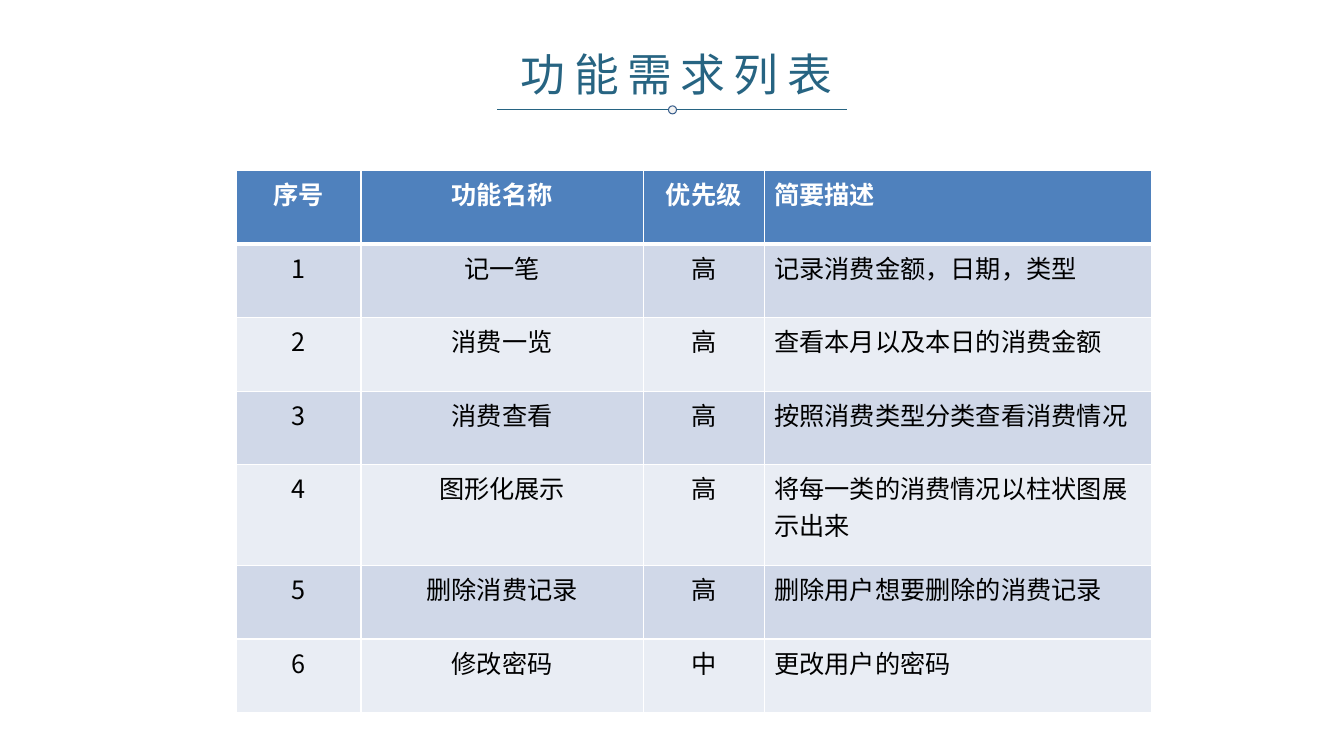
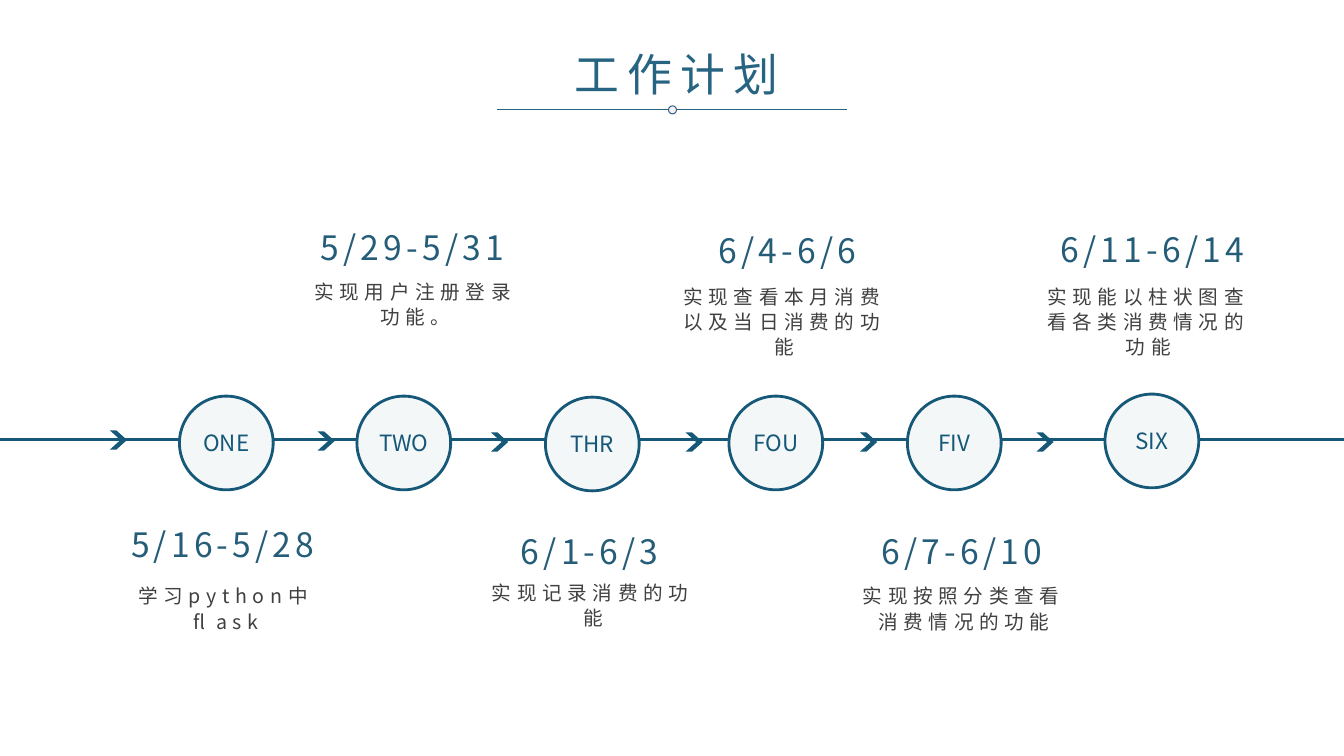
from collections import namedtuple

from lxml.etree import SubElement
from pptx import Presentation
from pptx.dml.color import RGBColor
from pptx.enum.shapes import MSO_CONNECTOR as Connector, MSO_SHAPE as Preset
from pptx.enum.text import MSO_ANCHOR as Anchor, MSO_AUTO_SIZE as AutoSize, PP_ALIGN as Align
from pptx.oxml.ns import qn
from pptx.util import Emu, Pt

EMU_PER_PX = 9144
WIDTH, HEIGHT = 1333, 750
FONT = "Noto Sans CJK SC"
COLORS = {
    "title": "276482", "knob": "F2F2F2", "knob_line": "3A5F8C",
    "timeline": "165878", "circle": "F3F7F8", "date": "255D79", "task": "404040",
    "header": "4F81BD", "band_dark": "D0D8E8", "band_light": "E9EDF4",
    "white": "FFFFFF", "black": "000000",
}

TextStyle = namedtuple("TextStyle", "size color spacing leading bold", defaults=(0, None, False))
STYLES = {
    "title": TextStyle(32, "title", spacing=6),
    "date": TextStyle(24, "date", spacing=3),
    "task": TextStyle(14, "task", spacing=4, leading=18),
    "step": TextStyle(16, "timeline"),
    "header": TextStyle(18, "white", bold=True),
    "cell": TextStyle(18, "black"),
}

COLUMN_WIDTHS = [124, 280, 120, 384]
ROW_HEIGHTS = [73, 73, 73, 73, 100, 73, 73]
FEATURES = [
    ("序号", "功能名称", "优先级", "简要描述"),
    ("1", "记一笔", "高", "记录消费金额，日期，类型"),
    ("2", "消费一览", "高", "查看本月以及本日的消费金额"),
    ("3", "消费查看", "高", "按照消费类型分类查看消费情况"),
    ("4", "图形化展示", "高", "将每一类的消费情况以柱状图展示出来"),
    ("5", "删除消费记录", "高", "删除用户想要删除的消费记录"),
    ("6", "修改密码", "中", "更改用户的密码"),
]

Step = namedtuple("Step", "label circle arrow date date_at task task_at task_height")
STEPS = [
    Step("ONE", (178, 393), (109, 427), "5/16-5/28", (110, 515),
         "学习python中flask", (110, 573), 59),
    Step("TWO", (354, 393), (315, 428), "5/29-5/31", (298, 220),
         "实现用户注册登录功能。", (298, 271), 59),
    Step("THR", (541, 394), (487, 429), "6/1-6/3", (474, 522),
         "实现记录消费的功能", (474, 570), 59),
    Step("FOU", (723, 393), (680, 429), "6/4-6/6", (670, 223),
         "实现查看本月消费以及当日消费的功能", (664, 276), 84),
    Step("FIV", (900, 393), (853, 429), "6/7-6/10", (843, 522),
         "实现按照分类查看消费情况的功能", (842, 573), 59),
    Step("SIX", (1096, 391), (1028, 429), "6/11-6/14", (1032, 222),
         "实现能以柱状图查看各类消费情况的功能", (1025, 276), 84),
]


def px(length):
    """Turn px into EMU."""
    return Emu(length * EMU_PER_PX)


def rgb(name):
    """Look up a named colour."""
    return RGBColor.from_string(COLORS[name])


class Deck:
    """Holds the presentation, its style and the current slide."""

    def __init__(self):
        """Start an empty presentation."""
        self.presentation = Presentation()
        self.presentation.slide_width = px(WIDTH)
        self.presentation.slide_height = px(HEIGHT)
        self.slide = None

    def new_slide(self, title):
        """Add a slide with its title and the ruled line below."""
        self.slide = self.presentation.slides.add_slide(self.presentation.slide_layouts[6])
        self.text(title, "title", 470, 41, 402, 64)
        self.line(493, 840, 109, "title", 0.75)
        self.shape(Preset.OVAL, 663, 105, 8, 8, "knob", "knob_line", 0.75)

    def fill_text(self, frame, text, style_name, align=Align.CENTER):
        """Put one styled paragraph into a text frame."""
        style = STYLES[style_name]
        paragraph = frame.paragraphs[0]
        paragraph.text = text
        paragraph.alignment = align
        if style.leading:
            paragraph.line_spacing = Pt(style.leading)
        font = paragraph.font
        font.size = Pt(style.size)
        font.bold = style.bold
        font.color.rgb = rgb(style.color)
        font.name = FONT
        properties = paragraph._p.get_or_add_pPr().get_or_add_defRPr()
        properties.set("spc", str(style.spacing * 100))
        SubElement(properties, qn("a:ea"), typeface=FONT)

    def text(self, text, style_name, left, top, width, height):
        """Add a wrapping text box that grows with its text."""
        box = self.slide.shapes.add_textbox(px(left), px(top), px(width), px(height))
        box.text_frame.word_wrap = True
        box.text_frame.auto_size = AutoSize.SHAPE_TO_FIT_TEXT
        self.fill_text(box.text_frame, text, style_name)

    def line(self, start, end, y, color, weight):
        """Add a horizontal line."""
        line = self.slide.shapes.add_connector(
            Connector.STRAIGHT, px(start), px(y), px(end), px(y))
        line.line.color.rgb = rgb(color)
        line.line.width = Pt(weight)
        SubElement(line._element.spPr, qn("a:effectLst"))

    def shape(self, preset, left, top, width, height, fill, outline=None, weight=0):
        """Add a filled preset shape."""
        shape = self.slide.shapes.add_shape(preset, px(left), px(top), px(width), px(height))
        shape.shadow.inherit = False
        shape.fill.solid()
        shape.fill.fore_color.rgb = rgb(fill)
        if outline:
            shape.line.color.rgb = rgb(outline)
            shape.line.width = Pt(weight)
        else:
            shape.line.fill.background()
        return shape

    def circle(self, label, left, top):
        """Add a labelled timeline circle."""
        circle = self.shape(Preset.OVAL, left, top, 93, 93, "circle", "timeline", 2)
        frame = circle.text_frame
        frame.margin_left = frame.margin_right = frame.margin_top = frame.margin_bottom = 0
        frame.vertical_anchor = Anchor.MIDDLE
        self.fill_text(frame, label, "step")

    def arrow(self, left, top):
        """Add a timeline chevron."""
        chevron = self.shape(Preset.CHEVRON, left, top, 17, 19, "timeline")
        chevron.adjustments[0] = 0.62

    def borders(self, cell, row):
        """Draw white cell borders, thicker under the header."""
        properties = cell._tc.get_or_add_tcPr()
        for side in "LRTB":
            thick = (row, side) in ((0, "B"), (1, "T"))
            border = SubElement(properties, qn(f"a:ln{side}"), w=str(Pt(3 if thick else 1)))
            fill = SubElement(border, qn("a:solidFill"))
            SubElement(fill, qn("a:srgbClr"), val=COLORS["white"])

    def table(self, rows, left, top, widths, heights):
        """Add a banded table with a header row."""
        table = self.slide.shapes.add_table(
            len(rows), len(widths), px(left), px(top), px(sum(widths)), px(sum(heights))).table
        for column, width in zip(table.columns, widths):
            column.width = px(width)
        for row, (values, height) in enumerate(zip(rows, heights)):
            table.rows[row].height = px(height)
            band = "band_dark" if row % 2 else "band_light"
            for column, value in enumerate(values):
                cell = table.cell(row, column)
                self.borders(cell, row)
                cell.fill.solid()
                cell.fill.fore_color.rgb = rgb(band if row else "header")
                last = column == len(widths) - 1
                self.fill_text(cell.text_frame, value, "cell" if row else "header",
                               Align.LEFT if last else Align.CENTER)


def main():
    """Build and save the slides."""
    deck = Deck()
    deck.new_slide("功能需求列表")
    deck.table(FEATURES, 234, 169, COLUMN_WIDTHS, ROW_HEIGHTS)

    deck.new_slide("工作计划")
    deck.line(0, WIDTH, 436, "timeline", 2)
    for step in STEPS:
        deck.arrow(*step.arrow)
        deck.circle(step.label, *step.circle)
        deck.text(step.date, "date", *step.date_at, 222, 50)
        deck.text(step.task, "task", *step.task_at, 228, step.task_height)
    deck.presentation.save("out.pptx")


if __name__ == "__main__":
    main()
